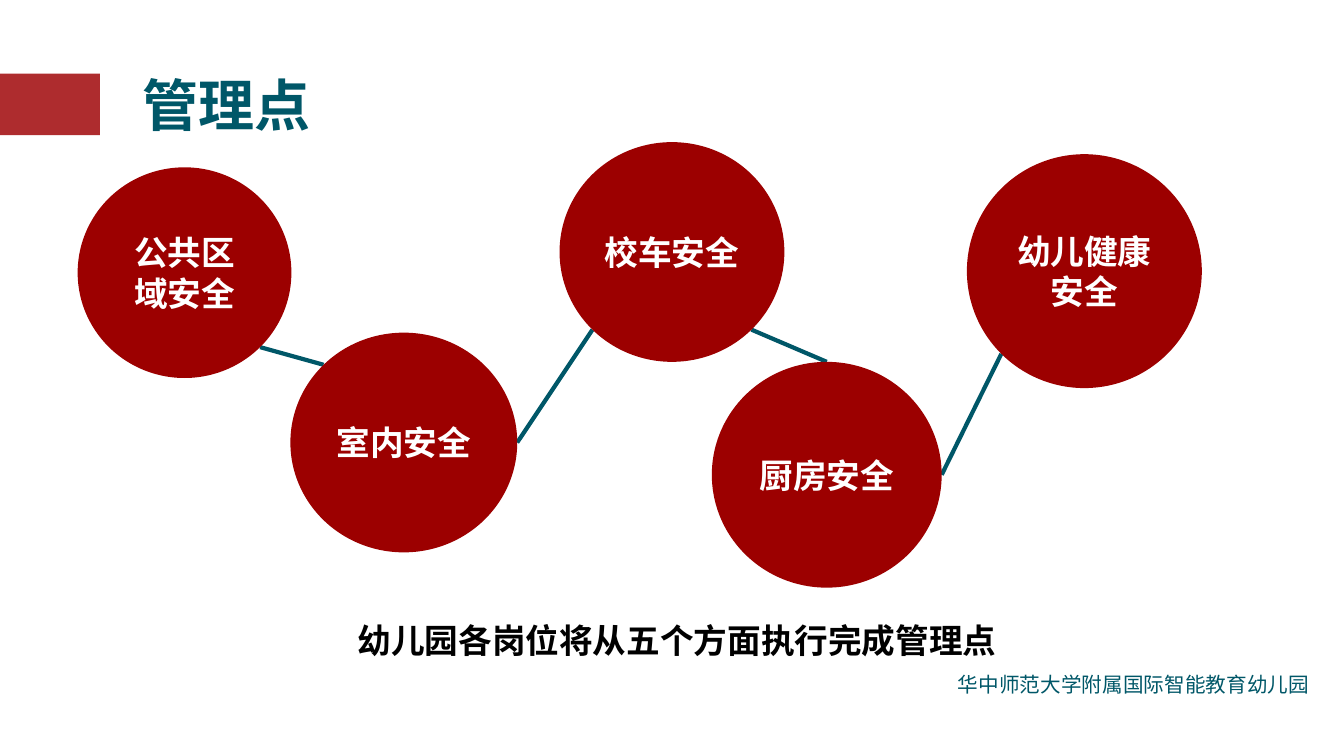
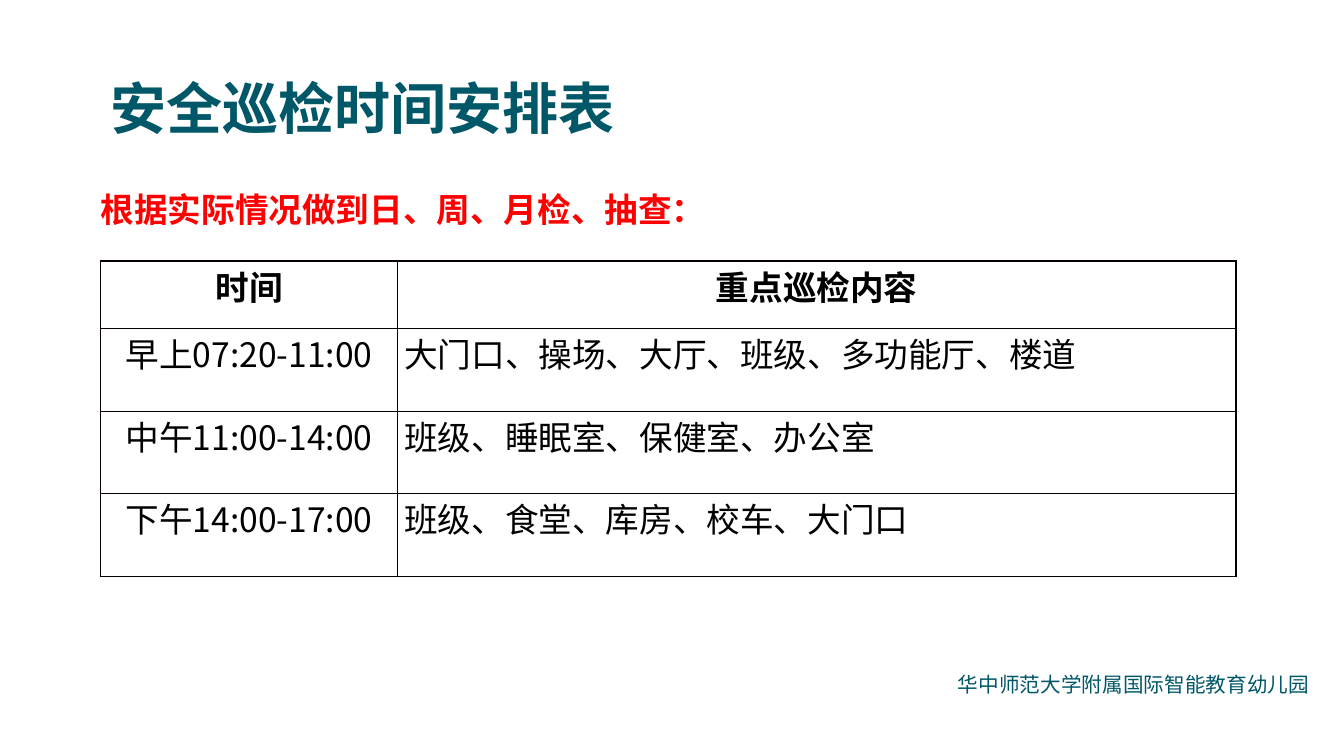
from math import cos, radians, sin

from lxml import etree
from pptx import Presentation
from pptx.dml.color import RGBColor
from pptx.enum.shapes import MSO_CONNECTOR, MSO_SHAPE
from pptx.enum.text import MSO_ANCHOR, PP_ALIGN
from pptx.oxml.ns import qn
from pptx.util import Emu, Pt

SCALE = 9144
FONT = "Noto Sans CJK SC"
LEFT, CENTER = PP_ALIGN.LEFT, PP_ALIGN.CENTER
TOP, MIDDLE = MSO_ANCHOR.TOP, MSO_ANCHOR.MIDDLE
RECT, OVAL = MSO_SHAPE.RECTANGLE, MSO_SHAPE.OVAL
STRAIGHT = MSO_CONNECTOR.STRAIGHT
COLORS = {
    "teal": "005768",
    "brick": "AE2C2E",
    "wine": "9C0000",
    "red": "FF0000",
    "black": "000000",
    "white": "FFFFFF",
    "grid": "080000",
}
STYLES = {
    "title": {"size": Pt(40), "bold": True},
    "strong": {"size": Pt(24), "bold": True},
    "plain": {"size": Pt(24), "bold": False},
    "foot": {"size": Pt(14.7), "bold": False},
}
FOOTER = "华中师范大学附属国际智能教育幼儿园"


def px(*sizes):
    return [Emu(round(size * SCALE)) for size in sizes]


def rgb(color):
    return RGBColor.from_string(COLORS[color])


def rim(box, angle):
    x, y, w, h = box
    turn = radians(angle)
    return x + w / 2 * (1 + cos(turn)), y + h / 2 * (1 + sin(turn))


class Deck:
    def __init__(self):
        self.file = Presentation()
        self.file.slide_width, self.file.slide_height = px(1333, 750)
        self.slide = None

    def start(self, title, box, inset=10):
        self.slide = self.file.slides.add_slide(self.file.slide_layouts[6])
        self.label(FOOTER, (940, 662, 369, 35), "foot", "teal", wrap=False)
        self.label(title, box, "title", "teal", MIDDLE, inset)

    def words(self, frame, text, style, color, align=LEFT):
        para = frame.paragraphs[0]
        para.alignment = align
        run = para.add_run()
        run.text = text
        for name, value in STYLES[style].items():
            setattr(run.font, name, value)
        run.font.name = FONT
        run.font.color.rgb = rgb(color)
        props = run._r.get_or_add_rPr()
        etree.SubElement(props, qn("a:ea"), typeface=FONT)

    def label(self, text, box, style, color, anchor=TOP, inset=10, wrap=True):
        frame = self.slide.shapes.add_textbox(*px(*box)).text_frame
        frame.word_wrap = wrap
        frame.vertical_anchor = anchor
        frame.margin_left, frame.margin_right = px(inset, inset)
        self.words(frame, text, style, color)

    def shape(self, kind, box, color, text=None):
        shape = self.slide.shapes.add_shape(kind, *px(*box))
        shape.shadow.inherit = False
        shape.fill.solid()
        shape.fill.fore_color.rgb = rgb(color)
        shape.line.fill.background()
        if text:
            shape.text_frame.word_wrap = True
            shape.text_frame.vertical_anchor = MIDDLE
            self.words(shape.text_frame, text, "strong", "white", CENTER)

    def link(self, start, end):
        line = self.slide.shapes.add_connector(STRAIGHT, *px(*start, *end))
        line.line.color.rgb = rgb("teal")
        line.line.width = Pt(3)
        etree.SubElement(line._element.spPr, qn("a:effectLst"))

    def border(self, cell):
        props = cell._tc.get_or_add_tcPr()
        for index, side in enumerate(("lnL", "lnR", "lnT", "lnB")):
            line = etree.Element(qn("a:" + side), w=str(Pt(1)))
            fill = etree.SubElement(line, qn("a:solidFill"))
            etree.SubElement(fill, qn("a:srgbClr"), val=COLORS["grid"])
            props.insert(index, line)

    def table(self, place, widths, heights, rows):
        box = (*place, sum(widths), sum(heights))
        table = self.slide.shapes.add_table(len(rows), len(widths), *px(*box)).table
        table.first_row = table.horz_banding = False
        for column, width in zip(table.columns, px(*widths)):
            column.width = width
        for row, height in zip(table.rows, px(*heights)):
            row.height = height
        for r, row in enumerate(rows):
            for c, text in enumerate(row):
                cell = table.cell(r, c)
                body = r > 0 and c > 0
                for side in ("left", "right", "top", "bottom"):
                    setattr(cell, "margin_" + side, 0)
                if body:
                    cell.margin_left = px(7)[0]
                cell.fill.background()
                self.border(cell)
                style = "plain" if r else "strong"
                align = LEFT if body else CENTER
                self.words(cell.text_frame, text, style, "black", align)


def points(deck):
    deck.start("管理点", (128, 41, 289, 125), 13)
    deck.shape(RECT, (-1, 73, 100, 61), "brick")
    areas = [
        ("公共区域安全", (77, 166, 212, 209)),
        ("室内安全", (288, 330, 225, 218)),
        ("校车安全", (555, 141, 223, 218)),
        ("厨房安全", (706, 359, 228, 224)),
        ("幼儿健康安全", (959, 153, 233, 232)),
    ]
    angles = [(45, 225), (0, 135), (45, 270), (0, 135)]
    for (_, one), (_, two), (out, into) in zip(areas, areas[1:], angles):
        deck.link(rim(one, out), rim(two, into))
    for text, box in areas:
        deck.shape(OVAL, box, "wine", text)
    deck.label("幼儿园各岗位将从五个方面执行完成管理点",
               (345, 610, 653, 50), "strong", "black", wrap=False)


def times(deck):
    deck.start("安全巡检时间安排表", (100, 44, 1167, 125))
    deck.label("根据实际情况做到日、周、月检、抽查：",
               (90, 183, 1177, 60), "strong", "red")
    deck.table((100, 259), (294, 832), (67, 82, 82, 82), [
        ("时间", "重点巡检内容"),
        ("早上07:20-11:00", "大门口、操场、大厅、班级、多功能厅、楼道"),
        ("中午11:00-14:00", "班级、睡眠室、保健室、办公室"),
        ("下午14:00-17:00", "班级、食堂、库房、校车、大门口"),
    ])


def main():
    deck = Deck()
    points(deck)
    times(deck)
    deck.file.save("out.pptx")


if __name__ == "__main__":
    main()
